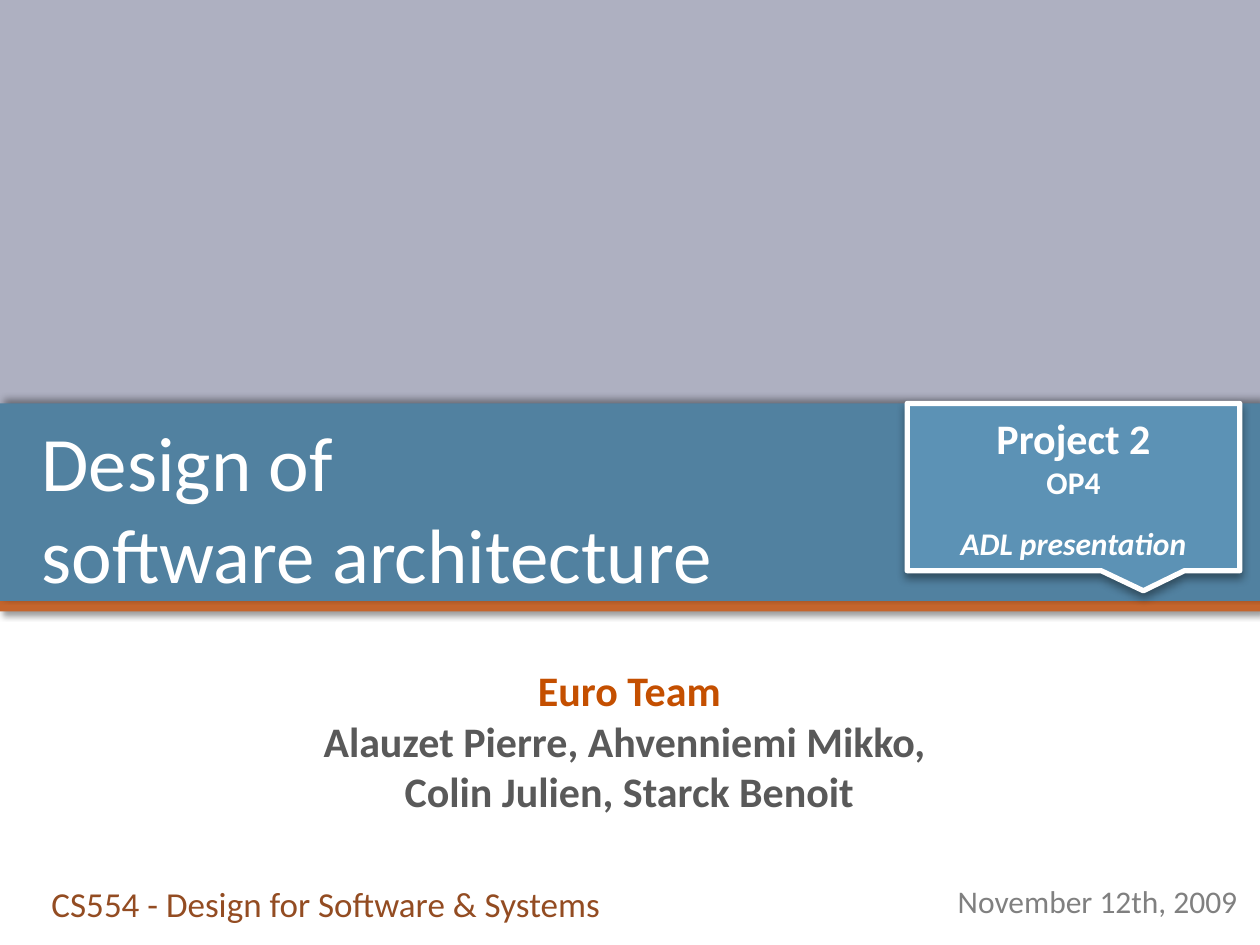
from dataclasses import dataclass
from typing import Optional

from lxml import etree
from pptx import Presentation
from pptx import util as u
from pptx.dml.color import RGBColor
from pptx.enum import shapes, text
from pptx.oxml.ns import qn

WIDTH, HEIGHT = u.Inches(10), u.Inches(7.5)
FONT = "Calibri"
WHITE = RGBColor(0xFF, 0xFF, 0xFF)
LILAC = RGBColor(0xAE, 0xB0, 0xC1)
ORANGE = RGBColor(0xC4, 0x65, 0x2D)
BLUE = RGBColor(0x51, 0x81, 0xA0)
LIGHT_BLUE = RGBColor(0x5C, 0x92, 0xB5)
GRAY = RGBColor(0x80, 0x80, 0x80)
DARK_GRAY = RGBColor(0x59, 0x59, 0x59)
RUST = RGBColor(0xC4, 0x4F, 0x00)
BROWN = RGBColor(0x93, 0x4C, 0x22)
LEFT, CENTER, RIGHT = text.PP_ALIGN.LEFT, text.PP_ALIGN.CENTER, text.PP_ALIGN.RIGHT


@dataclass
class Box:
    """A frame in shares of the slide's width and height."""
    left: float
    top: float
    width: float
    height: float


@dataclass
class Shadow:
    blur: float
    distance: float
    angle: int


@dataclass
class Band:
    box: Box
    color: RGBColor
    shadow: Optional[Shadow] = None


@dataclass
class Line:
    words: str
    size: int
    color: RGBColor
    bold: bool = False
    italic: bool = False
    space_before: int = 0


BANDS = [
    Band(Box(0, 0, 1, 0.47), LILAC),
    Band(Box(0, 0.636, 1, 0.011), ORANGE, Shadow(4, 3, 45)),
    Band(Box(0, 0.427, 1, 0.209), BLUE, Shadow(4, 3, 315)),
]
TITLE = [Line("Design of\vsoftware architecture", 44, WHITE)]
TEAM = [
    Line("Euro Team", 24, RUST, bold=True),
    Line("Alauzet Pierre, Ahvenniemi Mikko, ", 24, DARK_GRAY, bold=True),
    Line("Colin Julien, Starck Benoit", 24, DARK_GRAY, bold=True),
]
PROJECT = [
    Line("Project 2", 24, WHITE, bold=True),
    Line("OP4", 18, WHITE, bold=True),
    Line("ADL presentation", 18, WHITE, bold=True, italic=True, space_before=13),
]
COURSE = [Line("CS554 - Design for Software & Systems", 20, BROWN)]
DATE = [Line("November 12th, 2009", 18, GRAY)]


def frame(box: Box) -> dict:
    return {"left": round(box.left * WIDTH), "top": round(box.top * HEIGHT),
            "width": round(box.width * WIDTH), "height": round(box.height * HEIGHT)}


def place(shape, box: Box) -> None:
    for name, value in frame(box).items():
        setattr(shape, name, value)


def add_shadow(properties, shadow: Shadow) -> None:
    """Give shape or run properties a black outer shadow at 40% opacity."""
    effects = properties.find(qn("a:effectLst"))
    if effects is None:
        effects = etree.Element(qn("a:effectLst"))
        fill = properties.find(qn("a:solidFill"))
        fill.addnext(effects)
    outer = etree.SubElement(
        effects, qn("a:outerShdw"), blurRad=str(u.Pt(shadow.blur)),
        dist=str(u.Pt(shadow.distance)), dir=str(shadow.angle * 60000),
        algn="ctr", rotWithShape="0")
    color = etree.SubElement(outer, qn("a:srgbClr"), val="000000")
    etree.SubElement(color, qn("a:alpha"), val="40000")


def write(shape, lines: list[Line], align, anchor=text.MSO_ANCHOR.TOP) -> None:
    text_frame = shape.text_frame
    text_frame.word_wrap = True
    text_frame.auto_size = text.MSO_AUTO_SIZE.NONE
    text_frame.vertical_anchor = anchor
    text_frame.text = "\n".join(line.words for line in lines)
    for paragraph, line in zip(text_frame.paragraphs, lines):
        paragraph.alignment = align
        paragraph.space_before = u.Pt(line.space_before)
        for run in paragraph.runs:
            formats = {"name": FONT, "size": u.Pt(line.size),
                       "bold": line.bold, "italic": line.italic}
            for name, value in formats.items():
                setattr(run.font, name, value)
            run.font.color.rgb = line.color


def add_filled(slide, kind, band: Band):
    shape = slide.shapes.add_shape(kind, **frame(band.box))
    shape.fill.solid()
    shape.fill.fore_color.rgb = band.color
    shape.line.fill.background()
    shape.shadow.inherit = False
    if band.shadow:
        add_shadow(shape.fill._xPr, band.shadow)
    return shape


def add_text(slide, box: Box, lines: list[Line], align) -> None:
    write(slide.shapes.add_textbox(**frame(box)), lines, align)


def add_title(slide) -> None:
    title = slide.shapes.title
    place(title, Box(0.023, 0.416, 0.944, 0.24))
    write(title, TITLE, LEFT, text.MSO_ANCHOR.MIDDLE)
    for run in title.text_frame.paragraphs[0].runs:
        add_shadow(run.font._rPr, Shadow(4, 3, 45))


def add_team(slide) -> None:
    team = slide.placeholders[1]
    place(team, Box(0.023, 0.697, 0.953, 0.24))
    team.fill.solid()
    team.fill.fore_color.rgb = WHITE
    write(team, TEAM, CENTER)


def add_project_callout(slide) -> None:
    callout = add_filled(slide, shapes.MSO_SHAPE.RECTANGULAR_CALLOUT,
                         Band(Box(0.72, 0.427, 0.264, 0.177), LIGHT_BLUE, Shadow(5.2, 3, 90)))
    callout.adjustments[0], callout.adjustments[1] = 0.21, 0.62
    callout.line.color.rgb = WHITE
    callout.line.width = u.Pt(3)
    write(callout, PROJECT, CENTER, text.MSO_ANCHOR.MIDDLE)


def main() -> None:
    presentation = Presentation()
    presentation.slide_width, presentation.slide_height = WIDTH, HEIGHT
    slide = presentation.slides.add_slide(presentation.slide_layouts[0])
    placeholders = [slide.placeholders[1], slide.shapes.title]
    for band in BANDS:
        add_filled(slide, shapes.MSO_SHAPE.RECTANGLE, band)
    add_text(slide, Box(0.703, 0.927, 0.289, 0.052), DATE, RIGHT)
    for placeholder in placeholders:  # bring in front of the bands
        slide.shapes._spTree.append(placeholder._element)
    add_team(slide)
    add_title(slide)
    add_text(slide, Box(0.031, 0.927, 0.578, 0.073), COURSE, LEFT)
    add_project_callout(slide)
    presentation.save("out.pptx")


if __name__ == "__main__":
    main()
